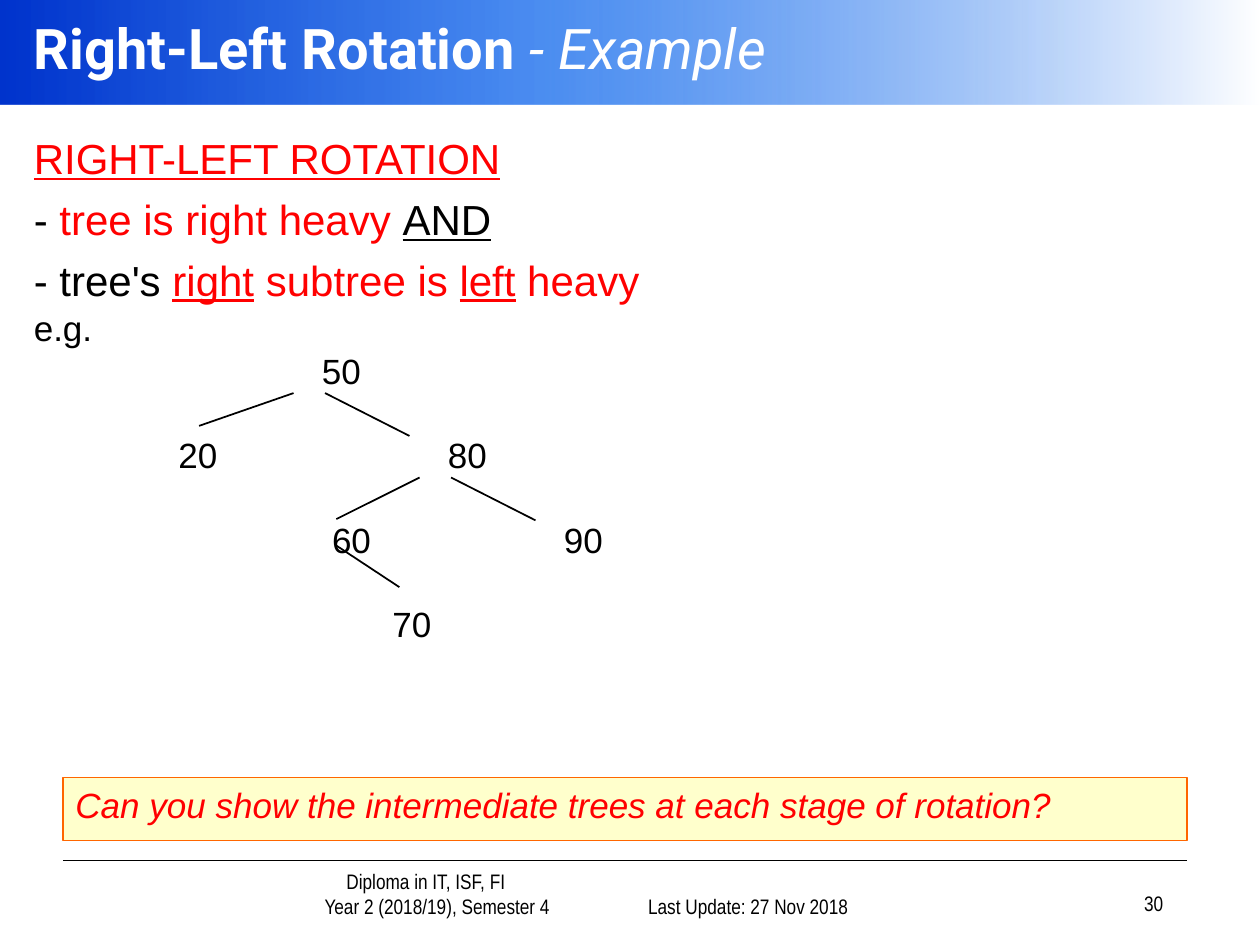
from copy import deepcopy
from lxml.etree import SubElement
from pptx import Presentation
from pptx.dml.color import RGBColor
from pptx.enum.shapes import MSO_CONNECTOR as Connector, MSO_SHAPE as Shape
from pptx.enum.text import MSO_ANCHOR as Anchor, PP_ALIGN as Align
from pptx.oxml.ns import qn
from pptx.util import Inches, Pt

BLACK = RGBColor(0, 0, 0)
WHITE = RGBColor(255, 255, 255)
RED = RGBColor(255, 0, 0)
ORANGE = RGBColor(0xFF, 0x66, 0)
CREAM = RGBColor(0xFF, 0xFF, 0xCC)
NAVY = RGBColor(0, 0x33, 0xCC)
BLUE = RGBColor(0, 0x5E, 0xEB)

# Content: a run is (text, colour, styles), with b, i, u for bold, italic, underline
TITLE = [[("Right-Left Rotation ", WHITE, "b"), ("- Example", WHITE, "i")]]
RULES = [
    [("RIGHT-LEFT ROTATION", RED, "u")],
    [("- ", BLACK, ""), ("tree is right heavy ", RED, ""), ("AND", BLACK, "u")],
    [("- tree's ", BLACK, ""), ("right", RED, "u"), (" subtree is ", RED, ""),
     ("left", RED, "u"), (" heavy", RED, "")],
]
QUESTION = [[("Can you show the intermediate trees at each stage of rotation?", RED, "i")]]
COURSE = ["Diploma in IT, ISF, FI", "Year 2 (2018/19), Semester 4"]

# Tree: (value, centre x, level) and the branches between the levels
NODES = [("50", 2.71, 0), ("20", 1.57, 1), ("80", 3.71, 1),
         ("60", 2.79, 2), ("90", 4.63, 2), ("70", 3.27, 3)]
BRANCHES = [(2.33, 3.12, 1.58, 3.38), (2.58, 3.12, 3.25, 3.46),
            (3.33, 3.79, 2.67, 4.12), (3.58, 3.79, 4.25, 4.13),
            (2.67, 4.33, 3.17, 4.66)]
TOP_LEVEL, LEVEL_GAP = 2.94, 0.67
NODE_WIDTH, NODE_HEIGHT = 0.6, 0.44


def plain(*lines):
    return [[(line, BLACK, "")] for line in lines]


def write(shape, paragraphs, size, font="Arial", align=Align.LEFT,
          anchor=Anchor.TOP, before=0):
    frame = shape.text_frame
    frame.word_wrap = True
    frame.vertical_anchor = anchor
    for index, runs in enumerate(paragraphs):
        paragraph = frame.paragraphs[0] if index == 0 else frame.add_paragraph()
        paragraph.alignment = align
        paragraph.space_before = Pt(before)
        for text, colour, styles in runs:
            run = paragraph.add_run()
            run.text = text
            run.font.name, run.font.size = font, Pt(size)
            run.font.color.rgb = colour
            run.font.bold = "b" in styles
            run.font.italic = "i" in styles
            run.font.underline = "u" in styles
    return shape


def add_text(slide, box, paragraphs, size, **options):
    return write(slide.shapes.add_textbox(*map(Inches, box)), paragraphs, size, **options)


def add_rectangle(slide, box):
    shape = slide.shapes.add_shape(Shape.RECTANGLE, *map(Inches, box))
    shape.shadow.inherit = False
    return shape


def add_line(slide, ends):
    line = slide.shapes.add_connector(Connector.STRAIGHT, *map(Inches, ends))
    line.line.color.rgb = BLACK
    line.line.width = Pt(1)
    SubElement(line._element.spPr, qn("a:effectLst"))


presentation = Presentation()
presentation.slide_width, presentation.slide_height = Inches(10), Inches(7.5)
slide = presentation.slides.add_slide(presentation.slide_layouts[6])

# Title band, with a translucent middle stop in its gradient
band = add_rectangle(slide, (0, 0, 10, 0.83))
band.line.fill.background()
band.fill.gradient()
band.fill.gradient_angle = 0
stops = band.fill.gradient_stops
for stop, colour, position in zip(stops, (NAVY, WHITE), (0, 1)):
    stop.color.rgb, stop.position = colour, position
stop_list = band._element.spPr.find(".//" + qn("a:gsLst"))
middle = deepcopy(stop_list[0])
middle.set("pos", "43000")
middle[0].set("val", str(BLUE))
SubElement(middle[0], qn("a:alpha"), val="70000")
stop_list.insert(1, middle)
add_text(slide, (0.17, 0, 9.83, 0.75), TITLE, 32, font="Roboto", anchor=Anchor.MIDDLE)

# Rules and example
add_text(slide, (0.17, 1, 9.67, 1.4), RULES, 24, before=6)
add_text(slide, (0.17, 2.38, 1, 0.44), plain("e.g."), 20)

# Tree
for value, centre, level in NODES:
    middle_y = TOP_LEVEL + level * LEVEL_GAP
    box = (centre - NODE_WIDTH / 2, middle_y - NODE_HEIGHT / 2, NODE_WIDTH, NODE_HEIGHT)
    add_text(slide, box, plain(value), 20, align=Align.CENTER, anchor=Anchor.MIDDLE)
for ends in BRANCHES:
    add_line(slide, ends)

# Question
question = add_rectangle(slide, (0.5, 6.17, 8.92, 0.5))
question.fill.solid()
question.fill.fore_color.rgb = CREAM
question.line.color.rgb = ORANGE
question.line.width = Pt(0.75)
write(question, QUESTION, 20)

# Footer
add_line(slide, (0.5, 6.83, 9.42, 6.83))
footer = {"font": "Arial Narrow", "anchor": Anchor.BOTTOM}
course = add_text(slide, (1.68, 6.92, 2.9, 0.42), plain(*COURSE), 12,
                  align=Align.CENTER, **footer)
for paragraph, indent in zip(course.text_frame.paragraphs, (0.5, 0.68)):
    paragraph._p.get_or_add_pPr().set("marL", str(Inches(indent)))
for box, text in [((4.75, 6.92, 2.08, 0.42), "Last Update: 27 Nov 2018"),
                  ((7.25, 6.9, 2.08, 0.42), "30")]:
    add_text(slide, box, plain(text), 12, align=Align.RIGHT, **footer)

presentation.save("out.pptx")
